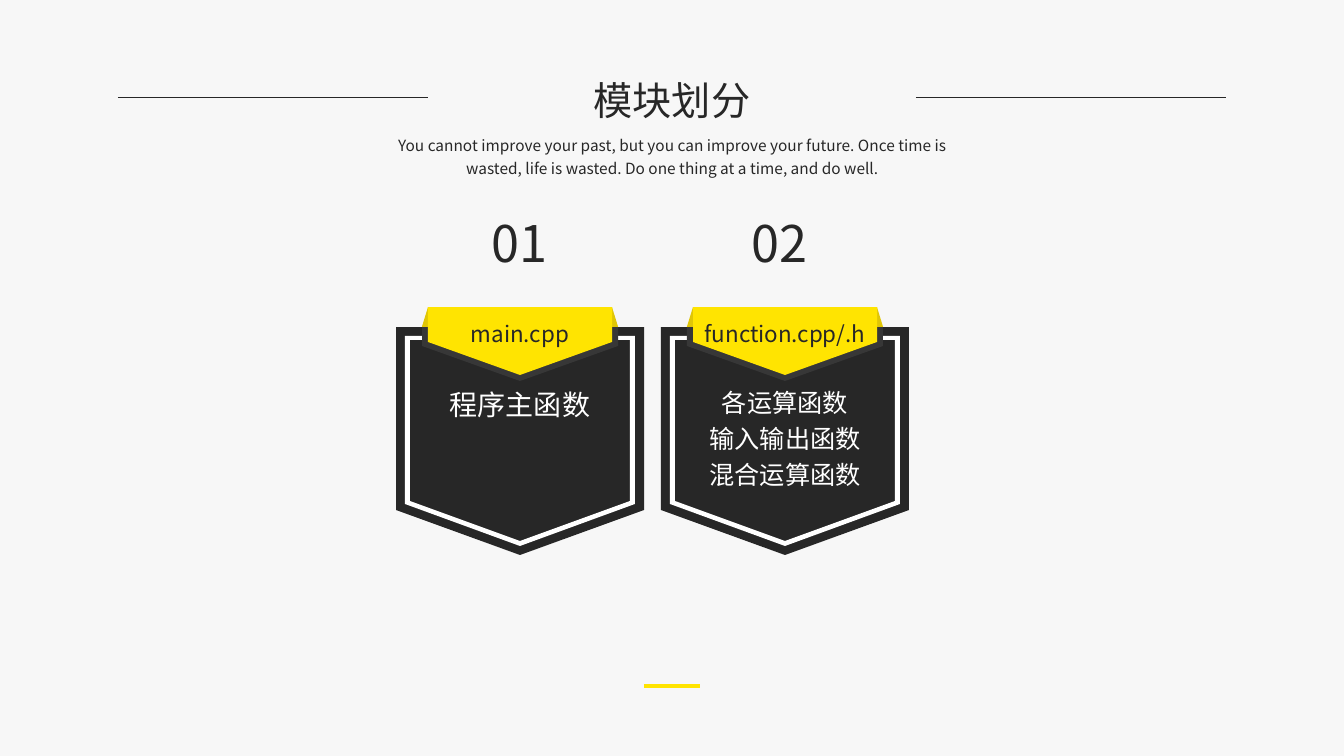
from lxml import etree
from pptx import Presentation
from pptx import util as u
from pptx.dml.color import RGBColor
from pptx.enum import shapes, text
from pptx.oxml.ns import qn

PX = 914400 / 100.8
FONT = "Noto Sans CJK SC"
COLORS = {
    "background": "F7F7F7",
    "ink": "272727",
    "fold": "373737",
    "yellow": "FFE401",
    "flap": "E0C606",
    "white": "FFFFFF",
}
BADGES = [
    {"label": "main.cpp", "lines": ["程序主函数"], "size": 20},
    {"label": "function.cpp/.h", "lines": ["各运算函数", "输入输出函数", "混合运算函数"], "size": 18},
]


def px(value):
    return u.Emu(round(value * PX))


def color(name):
    return RGBColor.from_string(COLORS[name])


def add_text(slide, box, lines, size, ink="ink", spacing=None, wrap=False):
    shape = slide.shapes.add_textbox(*map(px, box))
    frame = shape.text_frame
    frame.word_wrap = wrap
    frame.auto_size = text.MSO_AUTO_SIZE.SHAPE_TO_FIT_TEXT
    frame.text = "\n".join(lines)
    for paragraph in frame.paragraphs:
        paragraph.alignment = text.PP_ALIGN.CENTER
        paragraph.line_spacing = spacing
        for run in paragraph.runs:
            for name, value in {"name": FONT, "size": u.Pt(size)}.items():
                setattr(run.font, name, value)
            run.font.color.rgb = color(ink)
            etree.SubElement(run.font._element, qn("a:ea"), typeface=FONT)


def add_rule(slide, left, top, width, ink, weight):
    line = slide.shapes.add_connector(
        shapes.MSO_CONNECTOR.STRAIGHT, px(left), px(top), px(left + width), px(top))
    line.line.color.rgb = color(ink)
    line.line.width = u.Pt(weight)
    etree.SubElement(line._element.spPr, qn("a:effectLst"))


def add_outline(group, contours, fill):
    first, *holes = contours
    builder = group.shapes.build_freeform(*first[0], scale=PX)
    builder.add_line_segments(first[1:])
    for hole in holes:
        builder.move_to(*hole[0])
        builder.add_line_segments(hole[1:])
    shape = builder.convert_to_shape()
    shape.shadow.inherit = False
    shape.fill.solid()
    shape.fill.fore_color.rgb = color(fill)
    shape.line.fill.background()


def draw_header(slide, left, top, width):
    rule = 310
    for start in (left, left + width - rule):
        add_rule(slide, start, top + 26, rule, "ink", 0.5)
    add_text(slide, (left + 465, top, 178, 57), ["模块划分"], 28)
    motto = ("You cannot improve your past, but you can improve your future. "
             "Once time is wasted, life is wasted. Do one thing at a time, and do well.")
    add_text(slide, (left + 256, top + 57, 597, 53), [motto], 11, spacing=1.2, wrap=True)


def draw_badge(slide, left, top, width, badge):
    center = left + width // 2

    def shield(half, upper, shoulder, tip):
        points = [(-half, upper), (half, upper), (half, shoulder), (0, tip), (-half, shoulder)]
        return [(center + x, top + y) for x, y in points + points[:1]]

    flap = [(-92, 0), (92, 0), (104, 39), (-104, 39), (-92, 0)]
    group = slide.shapes.add_group_shape()
    for contours, fill in [
        ([[(center + x, top + y) for x, y in flap]], "flap"),
        ([shield(width // 2, 20, 203, 248)], "ink"),
        ([shield(115, 29, 197, 239), shield(110, 33, 194, 234)], "white"),
        ([shield(98, 20, 39, 74)], "fold"),
        ([shield(92, 0, 35, 68)], "yellow"),
    ]:
        add_outline(group, contours, fill)
    add_text(slide, (center - 92, top + 8, 184, 37), [badge["label"]], 16)
    add_text(slide, (center - 108, top + 69, 216, 47), badge["lines"], badge["size"],
             ink="white", spacing=1.2, wrap=True)


def draw_numbers(slide, left, top, pitch):
    for index in range(len(BADGES)):
        add_text(slide, (left + index * pitch, top, 80, 72), [f"{index + 1:02}"], 36)


def main():
    presentation = Presentation()
    presentation.slide_width, presentation.slide_height = px(1344), px(756)
    slide = presentation.slides.add_slide(presentation.slide_layouts[6])
    slide.background.fill.solid()
    slide.background.fill.fore_color.rgb = color("background")
    draw_header(slide, 118, 71, 1108)
    for index, badge in enumerate(BADGES):
        draw_badge(slide, 396 + index * 265, 307, 248, badge)
    draw_numbers(slide, 480, 207, 260)
    add_rule(slide, 644, 686, 56, "yellow", 3)
    presentation.save("out.pptx")


if __name__ == "__main__":
    main()
